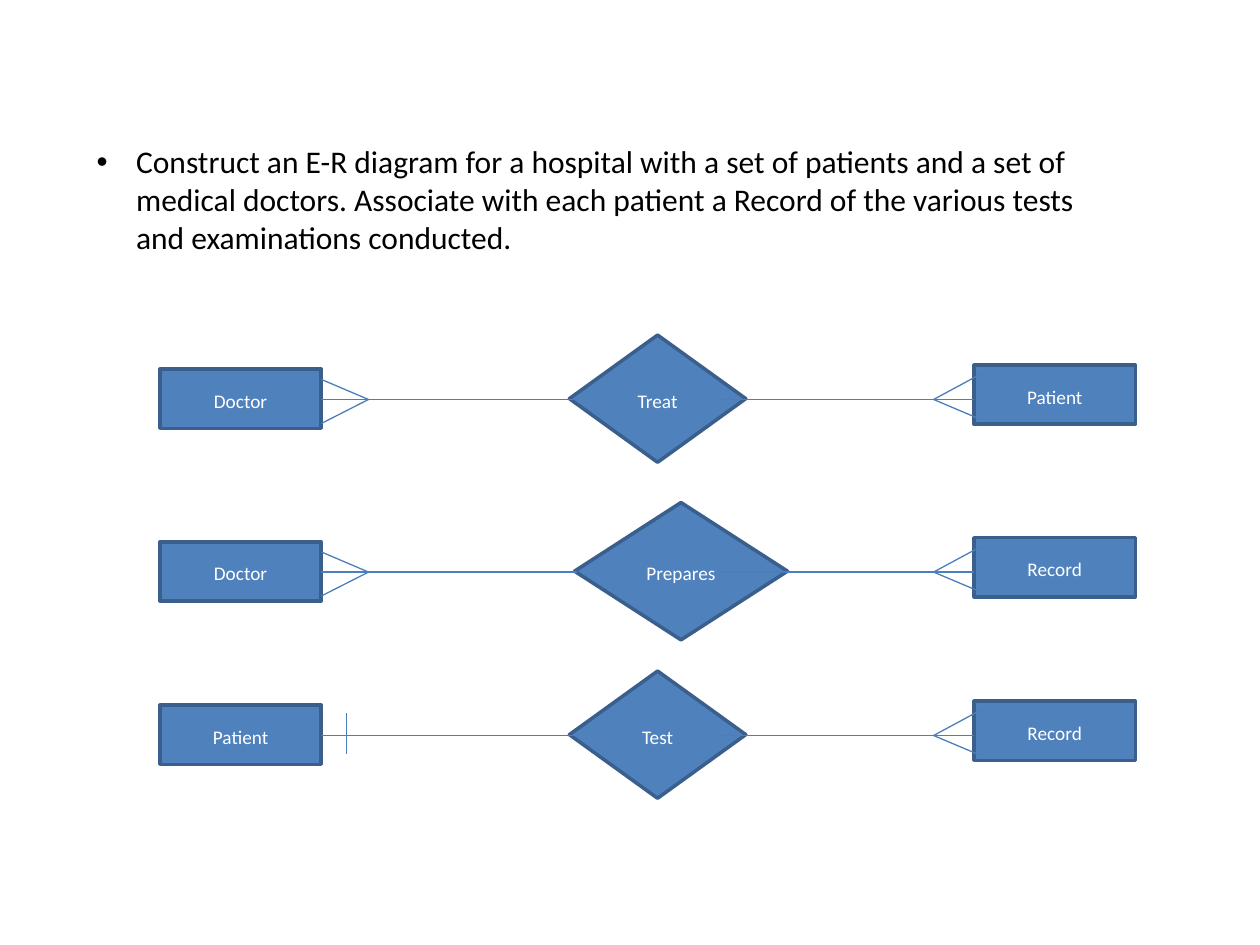
import pptx
import pptx.util
import pptx.dml.color
import pptx.enum.shapes
import pptx.enum.text
from lxml import etree

Pt = pptx.util.Pt
SHAPES = pptx.enum.shapes.MSO_SHAPE
COLOURS = {"text": "000000", "label": "FFFFFF", "fill": "4F81BD",
           "outline": "3A5F8C", "line": "4B7EBC"}
QUESTION = ("Construct an E-R diagram for a hospital with a set of patients and "
            "a set of medical doctors. Associate with each patient a Record of "
            "the various tests and examinations conducted.")
ENTITY_SIZE = (92.2, 33.8)
LEFT_ENTITY, RIGHT_ENTITY = 91.4, 556.6
LEFT_EDGE = 183.6
LEFT_LINK_END, RIGHT_LINK_START = 329.8, 411.1
SMALL_DIAMOND = (325.4, 100.8, 72.7)
LARGE_DIAMOND = (328.3, 121.7, 78.5)
RELATIONSHIPS = [
    (228.3, "Doctor", "Treat", "Patient", SMALL_DIAMOND, True),
    (326.9, "Doctor", "Prepares", "Record", LARGE_DIAMOND, True),
    (420.3, "Patient", "Test", "Record", SMALL_DIAMOND, False),
]


def colour(name):
    return pptx.dml.color.RGBColor.from_string(COLOURS[name])


def write_text(shape, text, size, colour_name, align=None, bullet=None,
               indent=0, line_spacing=None, space_after=None):
    shape.text_frame.word_wrap = True
    paragraph = shape.text_frame.paragraphs[0]
    if bullet:
        properties = paragraph._p.get_or_add_pPr()
        properties.set("marL", str(Pt(indent)))
        properties.set("indent", str(-Pt(indent)))
        namespace = properties.nsmap["a"]
        font = etree.SubElement(properties, f"{{{namespace}}}buFont")
        font.set("typeface", "Arial")
        character = etree.SubElement(properties, f"{{{namespace}}}buChar")
        character.set("char", bullet)
    paragraph.alignment = align
    paragraph.line_spacing = line_spacing
    if space_after is not None:
        paragraph.space_after = Pt(space_after)
    run = paragraph.add_run()
    run.text = text
    run.font.name = "Calibri"
    run.font.size = Pt(size)
    run.font.color.rgb = colour(colour_name)


def add_node(slide, kind, text, left, top, width, height):
    shape = slide.shapes.add_shape(kind, Pt(left), Pt(top), Pt(width), Pt(height))
    shape.shadow.inherit = False
    shape.fill.solid()
    shape.fill.fore_color.rgb = colour("fill")
    shape.line.color.rgb = colour("outline")
    shape.line.width = Pt(2)
    shape.text_frame.vertical_anchor = pptx.enum.text.MSO_ANCHOR.MIDDLE
    write_text(shape, text, size=11, colour_name="label",
               align=pptx.enum.text.PP_ALIGN.CENTER, line_spacing=1.15, space_after=10)


def add_line(slide, start_x, start_y, end_x, end_y):
    connector = slide.shapes.add_connector(
        pptx.enum.shapes.MSO_CONNECTOR.STRAIGHT,
        Pt(start_x), Pt(start_y), Pt(end_x), Pt(end_y))
    connector.line.color.rgb = colour("line")
    connector.line.width = Pt(0.75)
    properties = connector._element.spPr
    etree.SubElement(properties, f"{{{properties.nsmap['a']}}}effectLst")


def add_crow_foot(slide, tip_x, toe_x, axis, rise, drop):
    for offset in (-rise, drop):
        add_line(slide, tip_x, axis, toe_x, axis + offset)


def add_relationship(slide, axis, source, verb, target, diamond, many_sources):
    diamond_left, diamond_width, diamond_height = diamond
    add_node(slide, SHAPES.RECTANGLE, source, LEFT_ENTITY, axis - 17.3, *ENTITY_SIZE)
    add_node(slide, SHAPES.DIAMOND, verb, diamond_left,
             axis - diamond_height / 2 - 0.5, diamond_width, diamond_height)
    add_line(slide, LEFT_LINK_END, axis, LEFT_EDGE, axis)
    add_node(slide, SHAPES.RECTANGLE, target, RIGHT_ENTITY, axis - 19.6, *ENTITY_SIZE)
    add_line(slide, RIGHT_ENTITY, axis, RIGHT_LINK_START, axis)
    add_crow_foot(slide, 533.5, 560.2, axis, rise=14.4, drop=11.3)
    if many_sources:
        add_crow_foot(slide, 210.6, LEFT_EDGE, axis, rise=11.5, drop=13.7)
    else:
        add_line(slide, 198, axis + 10.3, 198, axis - 12.7)


def add_question(slide):
    box = slide.shapes.add_textbox(Pt(48.2), Pt(77.8), Pt(581.8), Pt(72.7))
    write_text(box, QUESTION, size=18, colour_name="text", bullet="•", indent=22.5)


def main():
    presentation = pptx.Presentation()
    presentation.slide_width = Pt(720)
    presentation.slide_height = Pt(540)
    slide = presentation.slides.add_slide(presentation.slide_layouts[6])
    add_question(slide)
    for relationship in RELATIONSHIPS:
        add_relationship(slide, *relationship)
    presentation.save("out.pptx")


if __name__ == "__main__":
    main()
